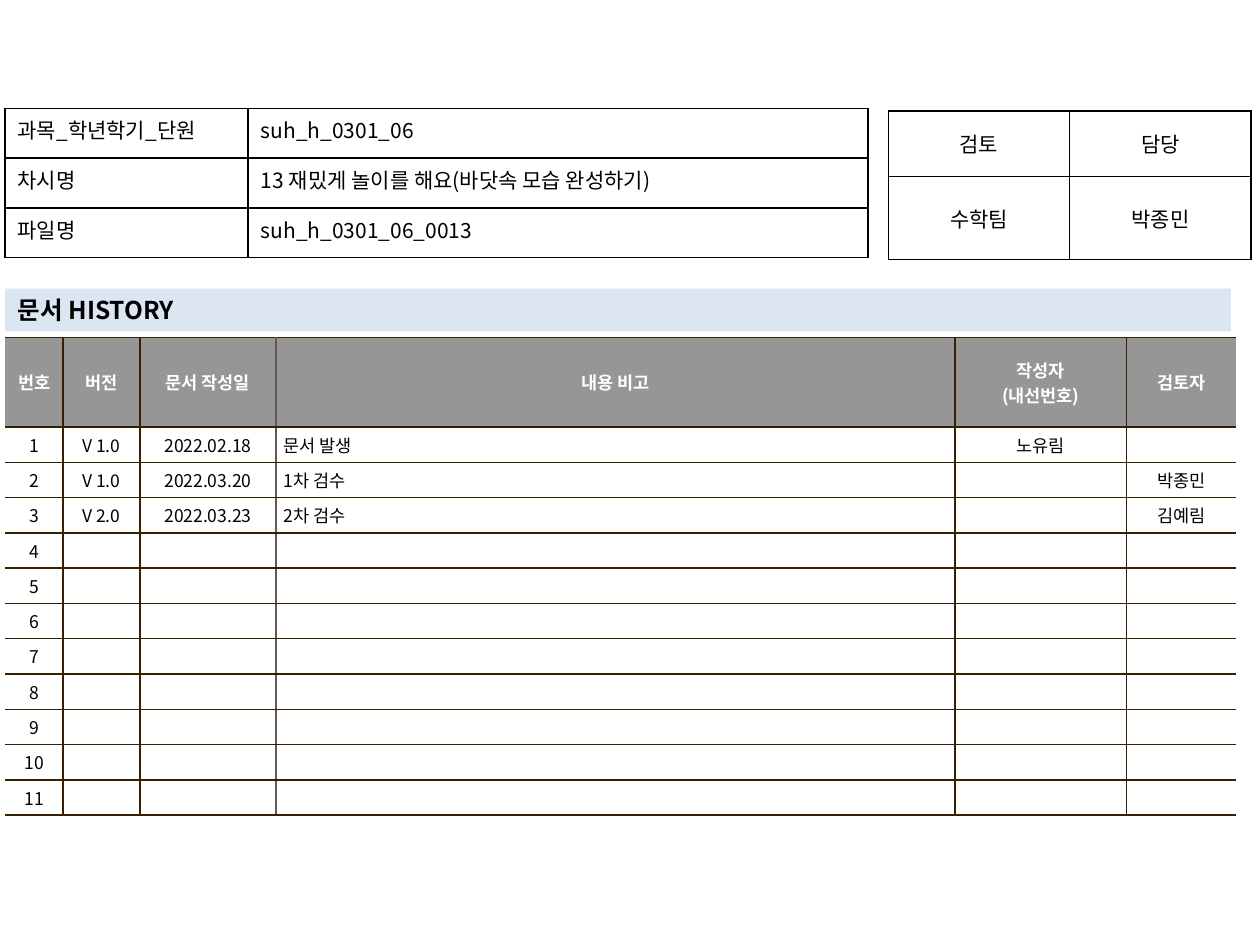
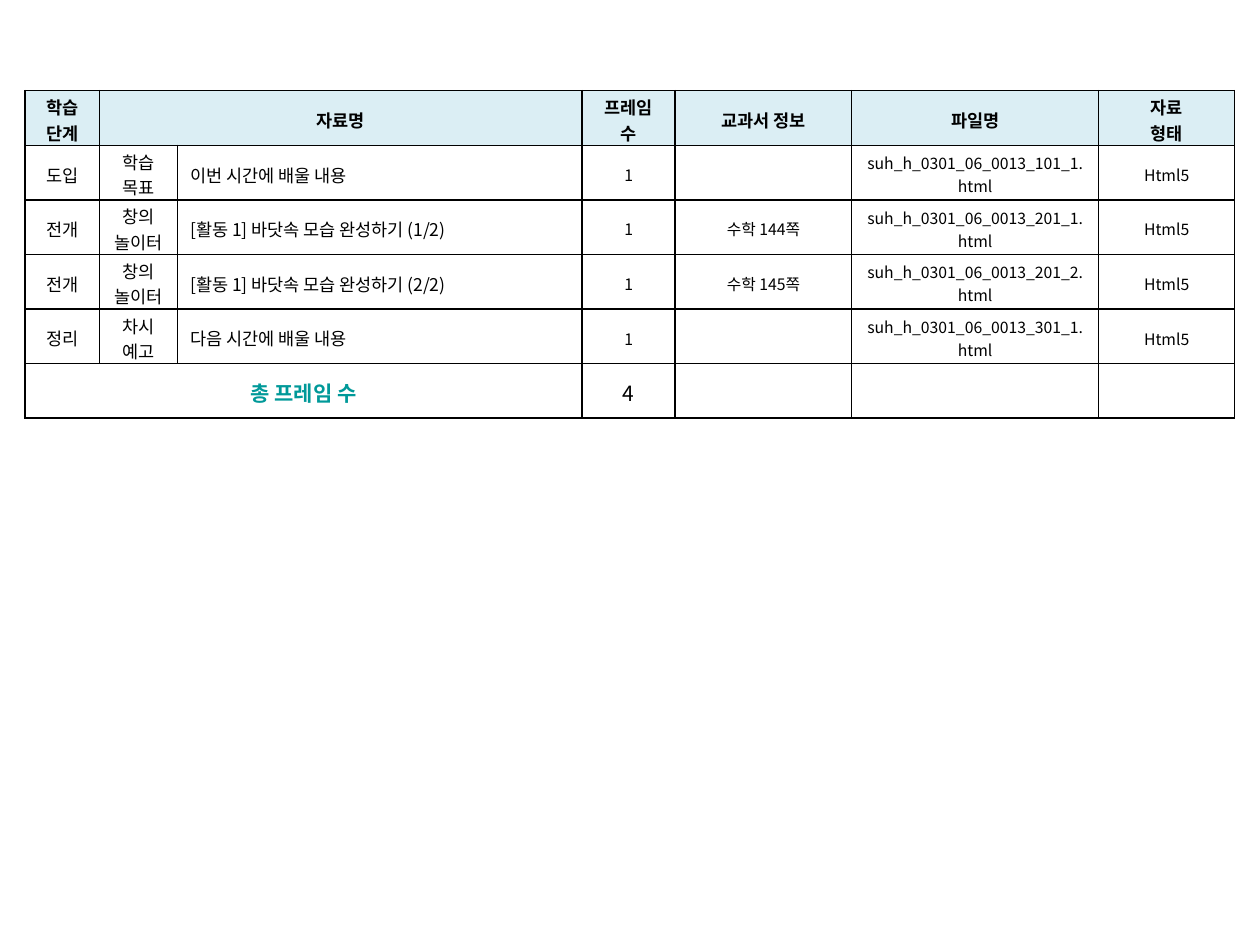
import pptx
import pptx.util
import pptx.dml.color
import pptx.enum.text
import pptx.oxml.ns
import lxml.etree

Inches = pptx.util.Inches
ALIGN = pptx.enum.text.PP_ALIGN
MIDDLE = pptx.enum.text.MSO_ANCHOR.MIDDLE
TOP = pptx.enum.text.MSO_ANCHOR.TOP

FONT = "Noto Sans CJK KR"
COLORS = {
    "ink": "000000",
    "white": "FFFFFF",
    "band": "DCE6F2",
    "history_head": "969696",
    "history_line": "362000",
    "history_soft": "645B4C",
    "frame_head": "DBEEF4",
    "total": "009999",
}


def color(name):
    return pptx.dml.color.RGBColor.from_string(COLORS[name])


def add_element(parent, tag, **attributes):
    return lxml.etree.SubElement(parent, pptx.oxml.ns.qn(tag), **attributes)


def write_text(frame, text, size, ink="ink", bold=False, align=ALIGN.LEFT):
    """Write one paragraph per line of text."""
    for index, line in enumerate(text.split("\n")):
        para = frame.paragraphs[0] if index == 0 else frame.add_paragraph()
        para.alignment = align
        if not line:
            # An empty cell keeps the height of its row's text
            add_element(para._p, "a:endParaRPr", sz=str(size * 100))
            continue
        span = para.add_run()
        span.text = line
        span.font.color.rgb = color(ink)
        formats = {"size": pptx.util.Pt(size), "bold": bold, "name": FONT}
        for key, value in formats.items():
            setattr(span.font, key, value)
        add_element(span._r.get_or_add_rPr(), "a:ea", typeface=FONT)


def draw_borders(cell, sides):
    """Draw the left, right, top and bottom edges; None leaves an edge open."""
    properties = cell._tc.get_or_add_tcPr()
    for side, name in zip("LRTB", sides):
        line = add_element(properties, "a:ln" + side, w="12700")
        if name is None:
            add_element(line, "a:noFill")
        else:
            fill = add_element(line, "a:solidFill")
            add_element(fill, "a:srgbClr", val=COLORS[name])


def add_grid(page, box, widths, heights, rows, style):
    """Add a table; style(row, column) gives the format of each cell."""
    shape = page.shapes.add_table(len(rows), len(widths), *map(Inches, box))
    table = shape.table
    table.first_row = table.horz_banding = False
    for column, width in zip(table.columns, widths):
        column.width = Inches(width)
    for row, height in zip(table.rows, heights):
        row.height = Inches(height)
    for r, texts in enumerate(rows):
        for c, text in enumerate(texts):
            cell = table.cell(r, c)
            look = style(r, c)
            draw_borders(cell, look.get("borders", ["ink"] * 4))
            if look.get("fill"):
                cell.fill.solid()
                cell.fill.fore_color.rgb = color(look["fill"])
            else:
                cell.fill.background()
            for key, value in look["cell"].items():
                setattr(cell, key, value)
            write_text(cell.text_frame, text, **look["text"])
    return table


def margins(side, top, bottom):
    return {"margin_left": Inches(side), "margin_right": Inches(side),
            "margin_top": Inches(top), "margin_bottom": Inches(bottom)}


def add_lesson_info(page, left, top):
    rows = [
        ["과목_학년학기_단원", "suh_h_0301_06"],
        ["차시명", "13 재밌게 놀이를 해요(바닷속 모습 완성하기)"],
        ["파일명", "suh_h_0301_06_0013"],
    ]

    def style(row, column):
        align = ALIGN.LEFT if column else ALIGN.JUSTIFY
        return {"cell": {"vertical_anchor": TOP, **margins(0.1, 0.05, 0.05)},
                "text": {"size": 12, "align": align}}

    add_grid(page, (left, top, 6.85, 1.18), [1.93, 4.92], [0.395] * 3, rows, style)


def add_approval(page, left, top):
    rows = [["검토", "담당"], ["수학팀", "박종민"]]

    def style(row, column):
        return {"cell": {"vertical_anchor": MIDDLE, **margins(0.1, 0.05, 0.05)},
                "text": {"size": 12, "align": ALIGN.CENTER}}

    add_grid(page, (left, top, 2.88, 1.18), [1.44, 1.44], [0.52, 0.66], rows, style)


def add_title_band(page, left, top):
    title = page.shapes.title
    places = {"left": left, "top": top, "width": 9.73, "height": 0.34}
    for key, value in places.items():
        setattr(title, key, Inches(value))
    title.fill.solid()
    title.fill.fore_color.rgb = color("band")
    frame = title.text_frame
    formats = {"auto_size": pptx.enum.text.MSO_AUTO_SIZE.NONE, "word_wrap": True,
               "vertical_anchor": MIDDLE, **margins(0.1, 0, 0)}
    for key, value in formats.items():
        setattr(frame, key, value)
    write_text(frame, "문서 HISTORY", 14, bold=True)


def add_history(page, left, top):
    widths = [0.46, 0.61, 1.08, 5.39, 1.36, 0.87]
    entries = [
        ["V 1.0", "2022.02.18", "문서 발생", "노유림", ""],
        ["V 1.0", "2022.03.20", "1차 검수", "", "박종민"],
        ["V 2.0", "2022.03.23", "2차 검수", "", "김예림"],
    ]
    entries += [[""] * 5] * 8
    rows = [["번호", "버전", "문서 작성일", "내용 비고", "작성자\n(내선번호)", "검토자"]]
    rows += [[str(number), *entry] for number, entry in enumerate(entries, 1)]
    # Vertical rules from left to right, open at both outer edges
    rules = [None, "history_line", "history_line", "history_soft",
             "history_line", "history_line", None]

    def style(row, column):
        head = row == 0
        note = column == 3 and not head
        return {"cell": {"vertical_anchor": MIDDLE, **margins(0.06, 0.04, 0.04)},
                "fill": "history_head" if head else "white",
                "borders": rules[column:column + 2] + ["history_line"] * 2,
                "text": {"size": 10, "bold": head,
                         "ink": "white" if head else "ink",
                         "align": ALIGN.LEFT if note else ALIGN.CENTER}}

    heights = [0.71] + [0.28] * len(entries)
    add_grid(page, (left, top, sum(widths), sum(heights)), widths, heights, rows, style)


def add_frame_list(page, left, top):
    widths = [0.59, 0.62, 3.21, 0.74, 1.4, 1.96, 1.08]
    # Stage, part, material, textbook page, file number
    frames = [
        ("도입", "학습 목표", "이번 시간에 배울 내용", "", "101_1"),
        ("전개", "창의\n놀이터", "[활동 1] 바닷속 모습 완성하기 (1/2)", "수학 144쪽", "201_1"),
        ("전개", "창의\n놀이터", "[활동 1] 바닷속 모습 완성하기 (2/2)", "수학 145쪽", "201_2"),
        ("정리", "차시 예고", "다음 시간에 배울 내용", "", "301_1"),
    ]
    rows = [["학습 단계", "자료명", "", "프레임 수", "교과서 정보", "파일명", "자료\n형태"]]
    rows += [[stage, part, material, "1", textbook,
              f"suh_h_0301_06_0013_{number}.html", "Html5"]
             for stage, part, material, textbook, number in frames]
    rows.append(["총 프레임 수", "", "", str(len(frames)), "", "", ""])
    last = len(rows) - 1

    def style(row, column):
        head, total = row == 0, row == last
        label = total and column == 0
        material = column == 2 and 0 < row < last
        size = 12 if total else 10 if head or column < 3 else 9
        return {"cell": {"vertical_anchor": MIDDLE, **margins(0.1, 0.03, 0)},
                "fill": "frame_head" if head else None,
                "text": {"size": size, "bold": head or label,
                         "ink": "total" if label else "ink",
                         "align": ALIGN.LEFT if material else ALIGN.CENTER}}

    table = add_grid(page, (left, top, 9.6, 2.6), widths,
                     [2.6 / len(rows)] * len(rows), rows, style)
    table.cell(0, 1).merge(table.cell(0, 2))
    table.cell(last, 0).merge(table.cell(last, 2))


def main():
    deck = pptx.Presentation()
    deck.slide_width, deck.slide_height = Inches(10), Inches(7.5)

    # Document history
    page = deck.slides.add_slide(deck.slide_layouts[5])
    add_lesson_info(page, 0.04, 0.86)
    add_approval(page, 7.05, 0.88)
    add_title_band(page, 0.04, 2.29)
    add_history(page, 0.04, 2.68)

    # List of frames
    page = deck.slides.add_slide(deck.slide_layouts[6])
    add_frame_list(page, 0.2, 0.72)

    deck.save("out.pptx")


if __name__ == "__main__":
    main()
